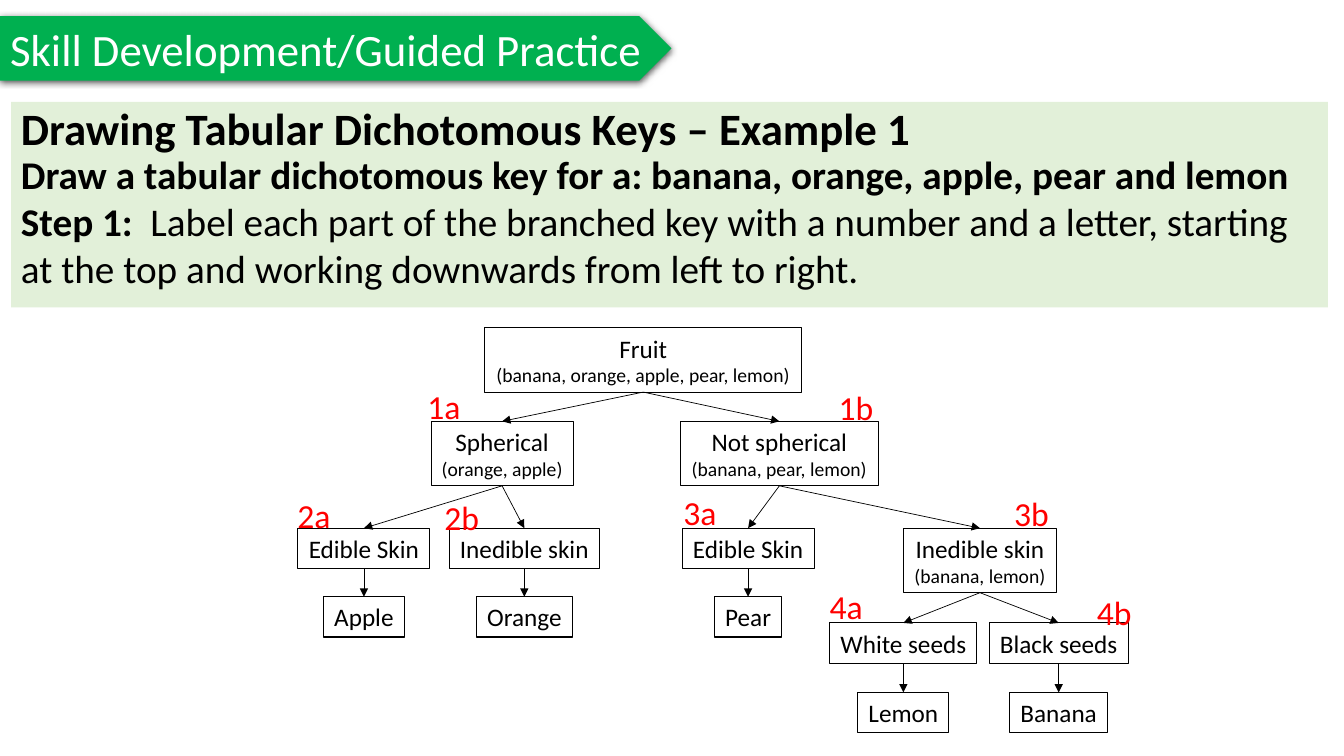
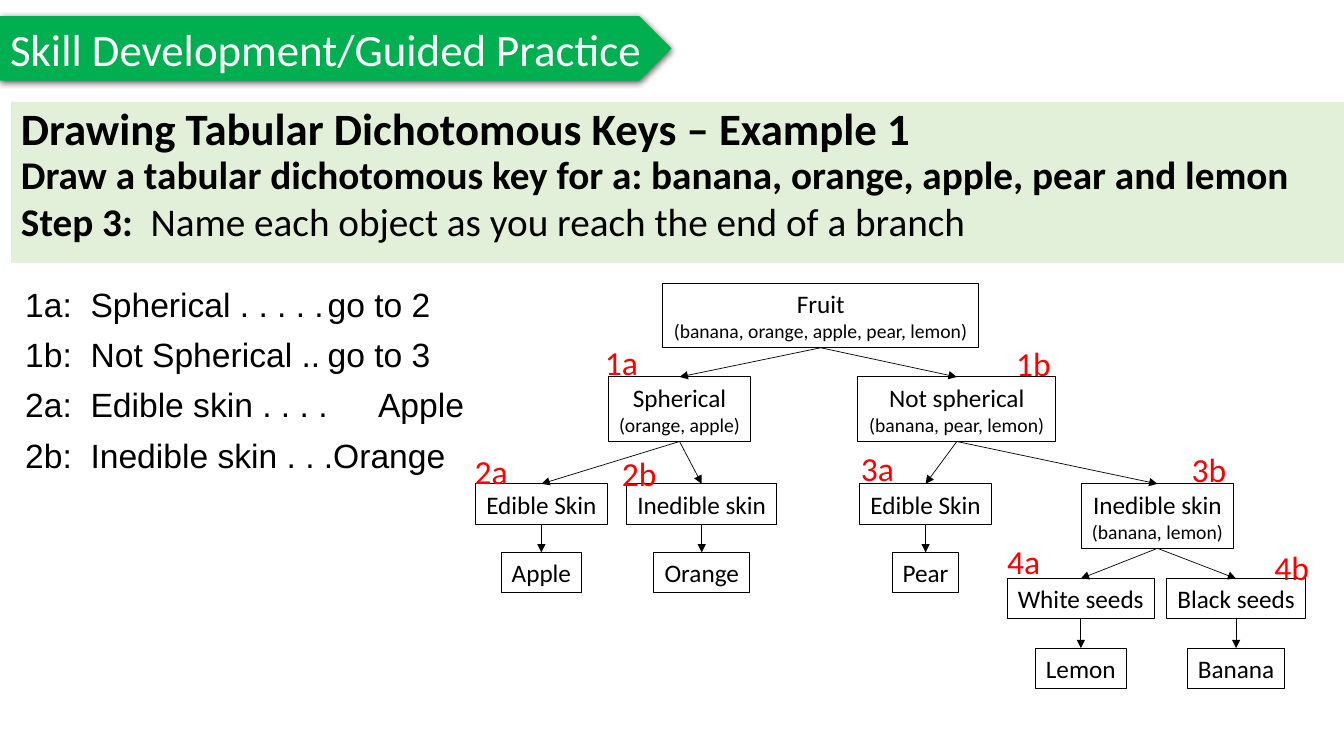
from lxml import etree
from pptx import Presentation
from pptx.dml.color import RGBColor
from pptx.enum.shapes import MSO_CONNECTOR as CONN, MSO_SHAPE as SHAPE
from pptx.enum.text import MSO_ANCHOR as ANCHOR, MSO_AUTO_SIZE as FIT, PP_ALIGN as ALIGN
from pptx.oxml import parse_xml
from pptx.oxml.ns import nsdecls, qn
from pptx.util import Inches, Pt

# Shared style
FONT = "Calibri"
BLACK, WHITE, RED = "000000", "FFFFFF", "FF0000"
GREEN, PALE_GREEN = "00B050", "E2F0D9"
TITLE = "Skill Development/Guided Practice"
HEADING = "Drawing Tabular Dichotomous Keys – Example 1"
TASK = "Draw a tabular dichotomous key for a: banana, orange, apple, pear and lemon"
TITLE_ONLY, TITLE_AND_BODY = 5, 1

# Branched key: name -> (text, note, centre x, top, width, parent)
NODES = {
    "fruit": ("Fruit", "(banana, orange, apple, pear, lemon)", 3.53, 0, 3.14, None),
    "round": ("Spherical", "(orange, apple)", 2.13, 0.93, 1.41, "fruit"),
    "long": ("Not spherical", "(banana, pear, lemon)", 4.88, 0.93, 1.96, "fruit"),
    "round edible": ("Edible Skin", None, 0.76, 1.99, 1.31, "round"),
    "round inedible": ("Inedible skin", None, 2.35, 1.99, 1.49, "round"),
    "long edible": ("Edible Skin", None, 4.57, 1.99, 1.31, "long"),
    "long inedible": ("Inedible skin", "(banana, lemon)", 6.87, 1.99, 1.51, "long"),
    "apple": ("Apple", None, 0.76, 2.67, 0.8, "round edible"),
    "orange": ("Orange", None, 2.35, 2.67, 0.95, "round inedible"),
    "pear": ("Pear", None, 4.57, 2.67, 0.66, "long edible"),
    "white": ("White seeds", None, 6.11, 2.93, 1.46, "long inedible"),
    "black": ("Black seeds", None, 7.65, 2.93, 1.38, "long inedible"),
    "lemon": ("Lemon", None, 6.11, 3.62, 0.9, "white"),
    "banana": ("Banana", None, 7.65, 3.62, 0.97, "black"),
}
BRANCH_LABELS = [
    ("1a", 1.29, 0.53), ("1b", 5.37, 0.54), ("2a", 0, 1.61), ("2b", 1.46, 1.63),
    ("3a", 3.83, 1.58), ("3b", 7.11, 1.59), ("4a", 5.28, 2.51), ("4b", 7.93, 2.57),
]
# Tabular key: text and tab stop
KEY_ROWS = [
    ("1a:  Spherical . . . . .\tgo to 2", 3),
    ("1b:  Not Spherical ..\tgo to 3", 3),
    ("2a:  Edible skin . . . .\tApple", 4),
    ("2b:  Inedible skin . . .Orange", None),
]


def rgb(color):
    return RGBColor.from_string(color)


def style(p, size, color=BLACK, bold=False, font=FONT, align=ALIGN.LEFT):
    p.alignment = align
    for r in p.runs:
        r.font.name, r.font.size, r.font.bold = font, Pt(size), bold
        r.font.color.rgb = rgb(color)


def place(sp, x, y, w, h):
    sp.left, sp.top, sp.width, sp.height = (Inches(v) for v in (x, y, w, h))


def add_box(shapes, kind, x, y, w, h, fill=None, line=None):
    sp = shapes.add_shape(kind, *(Inches(v) for v in (x, y, w, h)))
    sp.shadow.inherit = False
    if fill:
        sp.fill.solid()
        sp.fill.fore_color.rgb = rgb(fill)
    else:
        sp.fill.background()
    if line:
        sp.line.color.rgb = rgb(line)
        sp.line.width = Pt(0.75)
    else:
        sp.line.fill.background()
    return sp


def add_banner(slide, x, y, w, h):
    """Green arrow with a soft shadow behind the slide title."""
    banner = add_box(slide.shapes, SHAPE.PENTAGON, x, y, w, h, fill=GREEN)
    effects = banner._element.spPr.find(qn("a:effectLst"))
    effects.append(parse_xml(
        f'<a:outerShdw {nsdecls("a")} blurRad="57150" dist="19050" dir="5400000" '
        f'algn="ctr" rotWithShape="0"><a:srgbClr val="{BLACK}">'
        '<a:alpha val="63000"/></a:srgbClr></a:outerShdw>'))
    title = slide.shapes.title
    title._element.addprevious(banner._element)
    place(title, x, y, w, h)
    tf = title.text_frame
    tf.text = TITLE
    tf.auto_size, tf.vertical_anchor = FIT.NONE, ANCHOR.MIDDLE
    style(tf.paragraphs[0], 32, WHITE)


def add_instructions(slide, x, y, w, h, step, instruction):
    sp = add_box(slide.shapes, SHAPE.RECTANGLE, x, y, w, h, fill=PALE_GREEN)
    tf = sp.text_frame
    tf.word_wrap, tf.vertical_anchor = True, ANCHOR.TOP
    tf.text = "\n".join([HEADING, TASK, step])
    heading, task, last = tf.paragraphs
    last.add_run().text = "  " + instruction
    for p, size in ((heading, 32), (task, 28), (last, 28)):
        style(p, size, bold=True)
    heading.line_spacing = task.line_spacing = 0.9
    last.runs[1].font.bold = False
    last.space_after = Pt(12)


def add_arrow(shapes, parent, child):
    """Arrow from the bottom of one box to the top of another."""
    line = shapes.add_connector(CONN.STRAIGHT, 0, 0, 0, 0)
    line.begin_connect(parent, 2)
    line.end_connect(child, 0)
    line.line.color.rgb = rgb(BLACK)
    line.line.width = Pt(0.5)
    etree.SubElement(line.line._get_or_add_ln(), qn("a:tailEnd"), type="triangle")
    etree.SubElement(line._element.spPr, qn("a:effectLst"))


def add_branched_key(slide, x, y):
    shapes = slide.shapes.add_group_shape().shapes
    boxes = {}
    for name, (text, note, centre, top, w, parent) in NODES.items():
        sp = add_box(shapes, SHAPE.RECTANGLE, x + centre - w / 2, y + top,
                     w, 0.64 if note else 0.4, line=BLACK)
        tf = sp.text_frame
        tf.word_wrap = False
        tf.text = f"{text}\n{note}" if note else text
        for p, size in zip(tf.paragraphs, (18, 14)):
            style(p, size, align=ALIGN.CENTER)
        boxes[name] = sp
        if parent:
            add_arrow(shapes, boxes[parent], sp)
    # Branch numbers
    for text, left, top in BRANCH_LABELS:
        sp = shapes.add_textbox(Inches(x + left), Inches(y + top), Inches(0.55), Inches(0.5))
        sp.text_frame.word_wrap = False
        sp.text_frame.text = text
        style(sp.text_frame.paragraphs[0], 24, RED)


def add_tabular_key(slide, x, y, w, h):
    body = slide.placeholders[1]
    place(body, x, y, w, h)
    tf = body.text_frame
    tf.auto_size = FIT.NONE
    tf.text = "\n".join(text for text, _ in KEY_ROWS)
    for i, (p, (_, stop)) in enumerate(zip(tf.paragraphs, KEY_ROWS)):
        p.line_spacing = 0.9
        p.space_before = Pt(10 if i else 0)
        pPr = p._p.get_or_add_pPr()
        pPr.set("marL", "0")
        pPr.set("indent", "0")
        etree.SubElement(pPr, qn("a:buNone"))
        if stop:
            tabs = etree.SubElement(pPr, qn("a:tabLst"))
            etree.SubElement(tabs, qn("a:tab"), pos=str(Inches(stop)), algn="l")
        style(p, 24, font="Arial")


def add_key_slide(prs, layout, panel_size, step, instruction, key_at):
    slide = prs.slides.add_slide(prs.slide_layouts[layout])
    add_banner(slide, 0, 0.16, 6.66, 0.64)
    add_instructions(slide, 0.11, 1.01, *panel_size, step, instruction)
    add_branched_key(slide, *key_at)
    return slide


def main():
    prs = Presentation()
    prs.slide_width, prs.slide_height = Inches(13.33), Inches(7.5)
    add_key_slide(prs, TITLE_ONLY, (13.06, 2.04), "Step 1:",
                  "Label each part of the branched key with a number and a letter, "
                  "starting at the top and working downwards from left to right.",
                  (2.85, 3.25))
    slide = add_key_slide(prs, TITLE_AND_BODY, (13.22, 1.6), "Step 3:",
                          "Name each object as you reach the end of a branch",
                          (4.61, 2.81))
    add_tabular_key(slide, 0.15, 2.81, 11.05, 3.76)
    prs.save("out.pptx")


if __name__ == "__main__":
    main()
